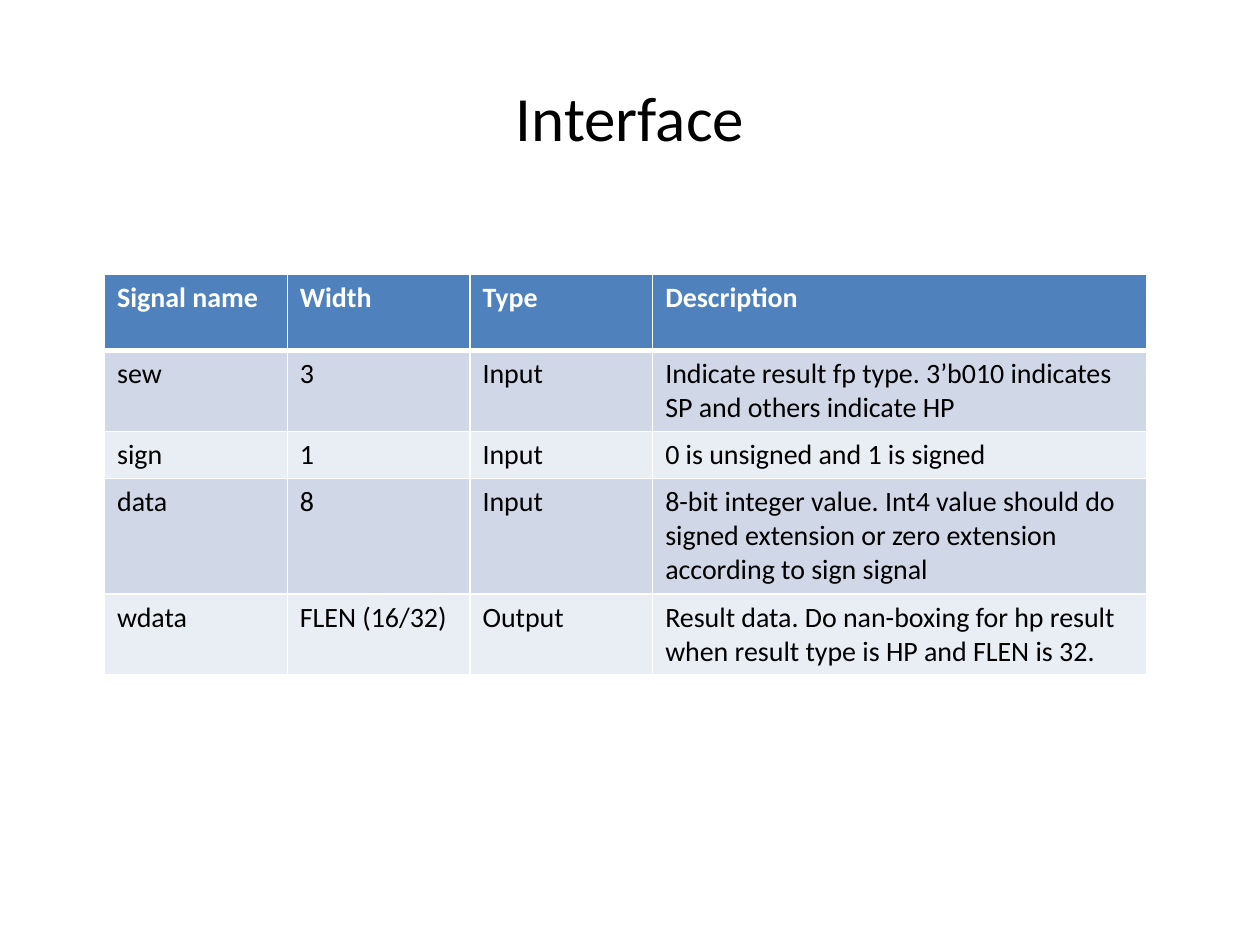
from dataclasses import dataclass

from lxml.etree import SubElement
from pptx import Presentation
from pptx.dml.color import RGBColor
from pptx.enum.text import MSO_ANCHOR, PP_ALIGN
from pptx.oxml.ns import qn
from pptx.util import Inches, Pt


@dataclass(frozen=True)
class Theme:
    """Colours, type and line widths of the slide."""
    face: str = "Calibri"
    ink: str = "000000"
    white: str = "FFFFFF"
    head: str = "4F81BD"
    bands: tuple = ("D0D8E8", "E9EDF4")
    title: int = 36
    body: int = 16
    thin: int = 1
    thick: int = 3


THEME = Theme()
WIDTHS = (1.45, 1.45, 1.45, 3.92)
HEIGHTS = (0.6, 0.64, 0.37, 0.92, 0.63)
ROWS = (
    ("Signal name", "Width", "Type", "Description"),
    ("sew", "3", "Input",
     "Indicate result fp type. 3’b010 indicates SP and others indicate HP"),
    ("sign", "1", "Input", "0 is unsigned and 1 is signed"),
    ("data", "8", "Input",
     "8-bit integer value. Int4 value should do signed extension "
     "or zero extension according to sign signal"),
    ("wdata", "FLEN (16/32)", "Output",
     "Result data. Do nan-boxing for hp result "
     "when result type is HP and FLEN is 32."),
)


def style(font, size, color, bold=False):
    """Format a font."""
    form = {"name": THEME.face, "size": Pt(size), "bold": bold}
    for key, value in form.items():
        setattr(font, key, value)
    font.color.rgb = RGBColor.from_string(color)


def add_title(slide, text):
    """Place and fill the title."""
    title = slide.shapes.title
    place = {"left": 0.5, "top": 0.3, "width": 9, "height": 1.25}
    for key, value in place.items():
        setattr(title, key, Inches(value))
    frame = title.text_frame
    frame.text = text
    frame.vertical_anchor = MSO_ANCHOR.MIDDLE
    para = frame.paragraphs[0]
    para.alignment = PP_ALIGN.CENTER
    style(para.font, THEME.title, THEME.ink)


def add_edges(cell, row):
    """Draw white borders, heavy between the header and the body."""
    props = cell._tc.get_or_add_tcPr()
    heavy = {(0, "B"), (1, "T")}
    for side in "LRTB":
        width = THEME.thick if (row, side) in heavy else THEME.thin
        line = SubElement(props, qn(f"a:ln{side}"), w=str(Pt(width)))
        fill = SubElement(line, qn("a:solidFill"))
        SubElement(fill, qn("a:srgbClr"), val=THEME.white)


def fill_cell(cell, row, text):
    """Write and colour one cell."""
    head = row == 0
    add_edges(cell, row)
    cell.fill.solid()
    back = THEME.head if head else THEME.bands[(row - 1) % 2]
    cell.fill.fore_color.rgb = RGBColor.from_string(back)
    cell.text = text
    color = THEME.white if head else THEME.ink
    style(cell.text_frame.paragraphs[0].runs[0].font, THEME.body, color, head)


def add_grid(slide):
    """Add the table of signals."""
    box = map(Inches, (0.83, 2.18, sum(WIDTHS), sum(HEIGHTS)))
    table = slide.shapes.add_table(len(ROWS), len(WIDTHS), *box).table
    for column, width in zip(table.columns, WIDTHS):
        column.width = Inches(width)
    for row, (texts, height) in enumerate(zip(ROWS, HEIGHTS)):
        table.rows[row].height = Inches(height)
        for col, text in enumerate(texts):
            fill_cell(table.cell(row, col), row, text)


def main():
    """Build and save the slide."""
    deck = Presentation()
    deck.slide_width, deck.slide_height = Inches(10), Inches(7.5)
    slide = deck.slides.add_slide(deck.slide_layouts[5])
    add_title(slide, "Interface")
    add_grid(slide)
    deck.save("out.pptx")


if __name__ == "__main__":
    main()
